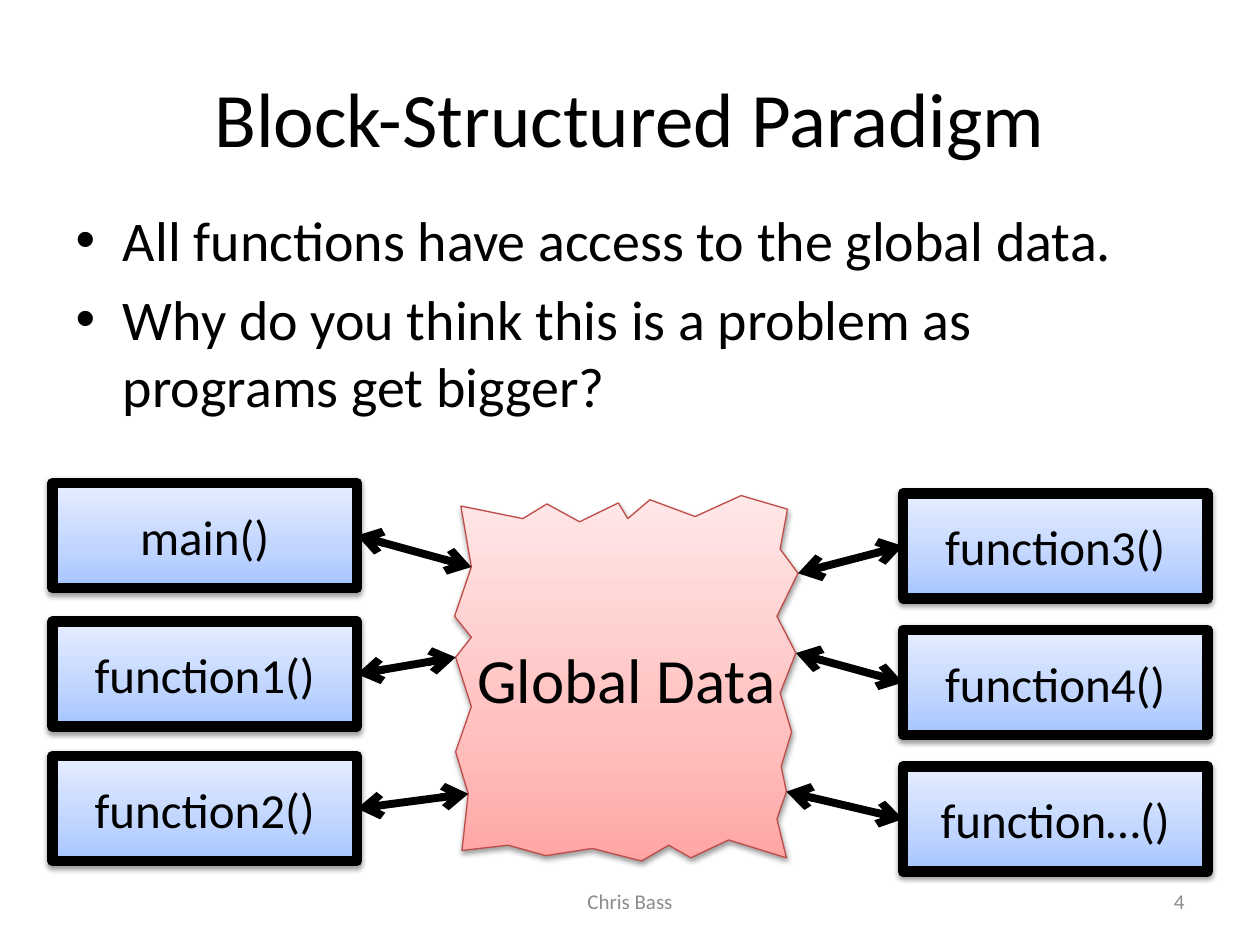
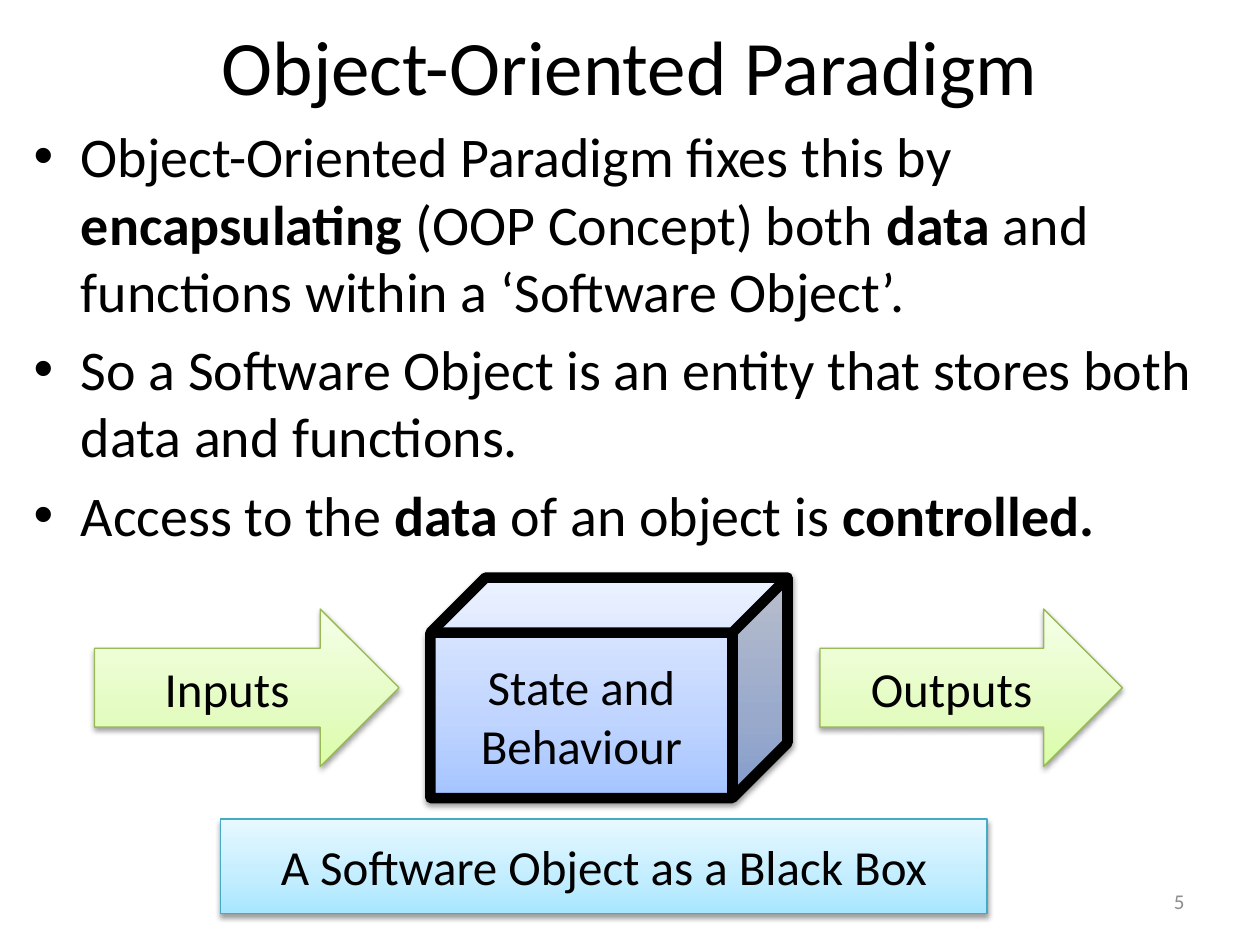
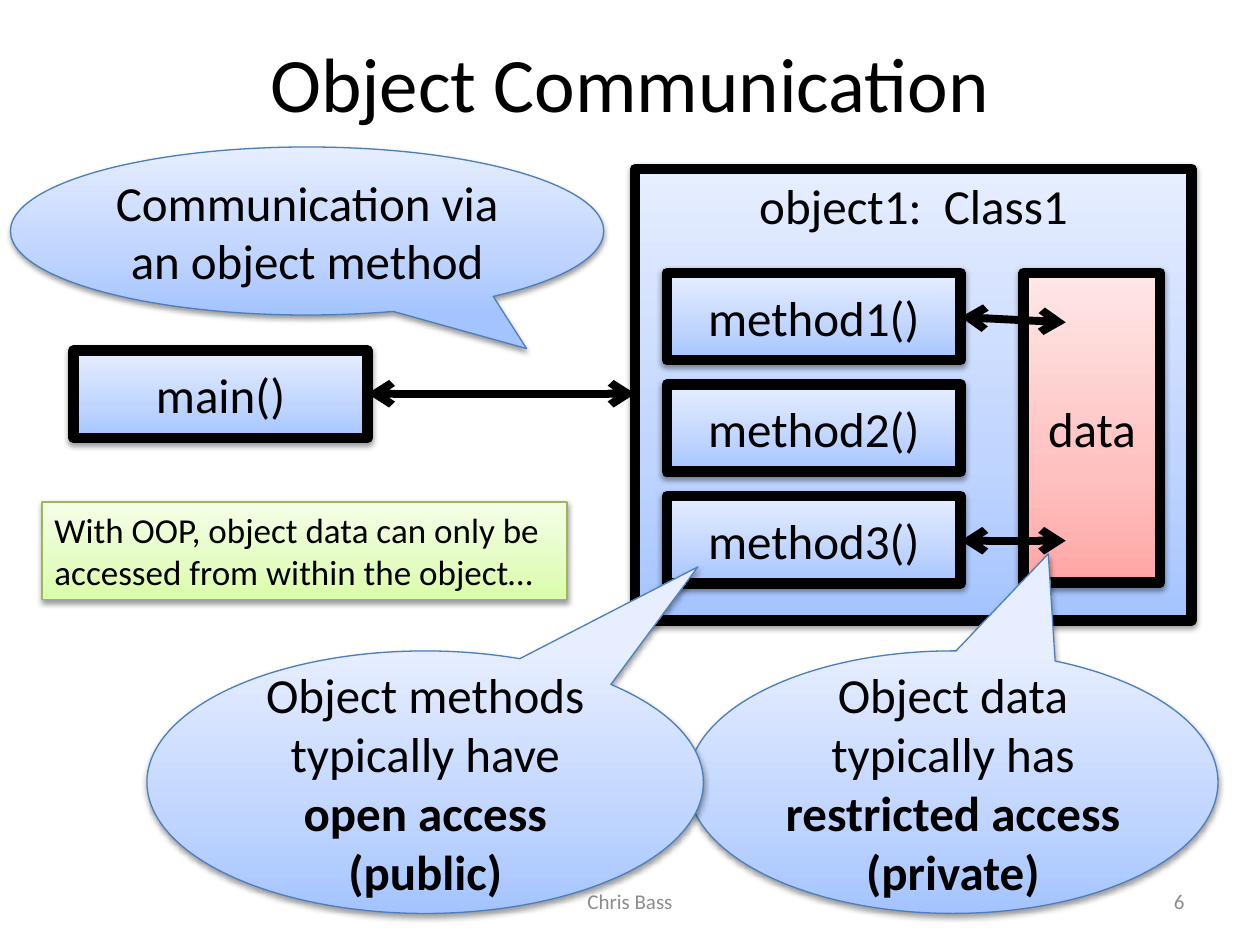
"""Builds three slides on programming paradigms."""
from pptx import Presentation
from pptx import util as u
from pptx.dml.color import RGBColor
from pptx.enum import shapes, text
from pptx.oxml import parse_xml
from pptx.oxml.ns import nsdecls, qn

COLS, ROWS = 120, 90
FONT = "Calibri"
COLORS = {"text": "000000", "footer": "8C8C8C", "heavy": "000000",
          "blue": "4B7EBC", "red": "BF4C48", "green": "98B955", "cyan": "46AAC5"}
GRADIENTS = {"blue": ("A4C4FF", "BFD4FF", "E6EEFF"),
             "red": ("FFA6A5", "FFC0BF", "FFE7E7"),
             "green": ("DAFDA7", "E4FCC2", "F5FFE7"),
             "cyan": ("A7E6FF", "C1EDFF", "E7F8FF")}
STOPS = (0, 35, 100)
KINDS = shapes.MSO_SHAPE
ALIGN = text.PP_ALIGN
ANCHOR = text.MSO_ANCHOR


class Deck:
    """Holds the shared style and the current slide."""

    def __init__(self):
        """Start a 4:3 presentation with a grid of 120 by 90 cells."""
        self.prs = Presentation()
        self.prs.slide_width, self.prs.slide_height = u.Inches(10), u.Inches(7.5)
        self.cell_w = self.prs.slide_width / COLS
        self.cell_h = self.prs.slide_height / ROWS

    def grid(self, *cells):
        """Turn alternating columns and rows into lengths."""
        return [u.Emu(round(c * (self.cell_h if i % 2 else self.cell_w)))
                for i, c in enumerate(cells)]

    def place(self, sp, at):
        """Move a placeholder to a grid cell."""
        sp.left, sp.top, sp.width, sp.height = self.grid(*at)

    def put_text(self, tf, paragraphs, size, color="text", align=None):
        """Fill a text frame; asterisks enclose bold words."""
        tf.word_wrap = True
        for i, line in enumerate(paragraphs):
            p = tf.add_paragraph() if i else tf.paragraphs[0]
            p.font.name, p.font.size = FONT, u.Pt(size)
            p.font.color.rgb = RGBColor.from_string(COLORS[color])
            if align is not None:
                p.alignment = align
            for k, part in enumerate(line.split("*")):
                if part:
                    r = p.add_run()
                    r.text = part
                    if k % 2:
                        r.font.bold = True

    def slide(self, title, at, number, bullets=(), body_at=None):
        """Add a slide with title, optional list and footer."""
        layout = self.prs.slide_layouts[1 if bullets else 5]
        self.current = self.prs.slides.add_slide(layout)
        head = self.current.shapes.title
        self.place(head, at)
        self.put_text(head.text_frame, [title], 44, align=ALIGN.CENTER)
        if bullets:
            body = self.current.placeholders[1]
            self.place(body, body_at)
            self.put_text(body.text_frame, bullets, 32)
        self.label("Chris Bass", (41, 83.4, 38, 4.8), ALIGN.CENTER)
        self.label(str(number), (86, 83.4, 28, 4.8), ALIGN.RIGHT)

    def label(self, words, at, align):
        """Add a small grey footer text."""
        tf = self.current.shapes.add_textbox(*self.grid(*at)).text_frame
        tf.vertical_anchor = ANCHOR.MIDDLE
        self.put_text(tf, [words], 12, "footer", align)

    def finish(self, sp, words, fill, heavy=False, size=28,
               align=ALIGN.CENTER, anchor=ANCHOR.MIDDLE):
        """Give a shape its gradient, line, shadow and text."""
        sp.fill.gradient()
        sp.fill.gradient_angle = 90
        props = sp._element.spPr
        stops = props.find(".//" + qn("a:gsLst"))
        for stop in list(stops):
            stops.remove(stop)
        for pos, color in zip(STOPS, GRADIENTS[fill]):
            stops.append(parse_xml(
                f'<a:gs {nsdecls("a")} pos="{pos * 1000}">'
                f'<a:srgbClr val="{color}"/></a:gs>'))
        sp.line.color.rgb = RGBColor.from_string(COLORS["heavy" if heavy else fill])
        sp.line.width = u.Pt(6 if heavy else 0.75)
        sp.shadow.inherit = False
        props.find(qn("a:effectLst")).append(parse_xml(
            f'<a:outerShdw {nsdecls("a")} blurRad="40000" dist="20000" '
            'dir="5400000" rotWithShape="0"><a:srgbClr val="000000">'
            '<a:alpha val="38000"/></a:srgbClr></a:outerShdw>'))
        sp.text_frame.vertical_anchor = anchor
        self.put_text(sp.text_frame, [words], size, align=align)
        return sp

    def shape(self, kind, words, at, fill="blue", **style):
        """Add a styled preset shape."""
        sp = self.current.shapes.add_shape(kind, *self.grid(*at))
        return self.finish(sp, words, fill, **style)

    def block(self, words, at, fill="blue", **style):
        """Add a rectangle with a heavy black border."""
        return self.shape(KINDS.RECTANGLE, words, at, fill, heavy=True, **style)

    def callout(self, words, at, tip):
        """Add an oval callout whose tip is a share of its size."""
        sp = self.shape(KINDS.OVAL_CALLOUT, words, at)
        sp.adjustments[0], sp.adjustments[1] = tip

    def outline(self, words, points, fill):
        """Add a closed outline given in tenths of a cell."""
        builder = self.current.shapes.build_freeform(
            *points[0], scale=(self.cell_w / 10, self.cell_h / 10))
        builder.add_line_segments(points[1:], close=True)
        self.finish(builder.convert_to_shape(), words, fill, size=36)

    def link(self, start, end):
        """Add a thick line with arrowheads at both ends."""
        line = self.current.shapes.add_connector(
            shapes.MSO_CONNECTOR.STRAIGHT, *self.grid(*start, *end))
        line.line.color.rgb = RGBColor.from_string(COLORS["heavy"])
        line.line.width = u.Pt(4.5)
        props = line._element.spPr
        for end_name in ("headEnd", "tailEnd"):
            props.find(qn("a:ln")).append(
                parse_xml(f'<a:{end_name} {nsdecls("a")} type="arrow"/>'))
        props.append(parse_xml(f'<a:effectLst {nsdecls("a")}/>'))


def block_structured(deck):
    """Functions on both sides share global data."""
    deck.slide("Block-Structured Paradigm", (6, 3.6, 108, 15), 4,
               ["All functions have access to the global data.",
                "Why do you think this is a problem as programs get bigger?"],
               (6, 19, 108, 65))
    torn_edge = [
        (439, 482), (449, 540), (433, 587), (449, 607), (434, 626), (449, 673),
        (434, 716), (446, 756), (440, 810), (484, 805), (520, 815), (564, 808),
        (611, 820), (637, 805), (658, 817), (694, 800), (749, 817), (740, 780),
        (749, 754), (744, 730), (754, 697), (743, 660), (758, 622), (740, 587),
        (760, 546), (743, 523), (750, 485), (706, 472), (662, 492), (619, 476),
        (598, 494), (589, 479), (552, 497), (521, 480), (498, 494)]
    deck.outline("Global Data", torn_edge, "red")
    # Each function: name, column, row, and the edge point it reaches.
    functions = [("main()", 5, 46, 1), ("function1()", 5, 59.2, 4),
                 ("function2()", 5, 72, 7), ("function3()", 86, 47, 24),
                 ("function4()", 86, 60, 22), ("function…()", 86, 73, 18)]
    width, height = 29, 10
    for name, col, row, _ in functions:
        deck.block(name, (col, row, width, height))
    for _, col, row, corner in functions:
        side = col + width if col < COLS / 2 else col
        x, y = torn_edge[corner]
        deck.link((side, row + height / 2), (x / 10, y / 10))


def object_oriented(deck):
    """A software object as a box with inputs and outputs."""
    deck.slide("Object-Oriented Paradigm", (6, 0, 108, 12.4), 5,
               ["Object-Oriented Paradigm fixes this by *encapsulating* (OOP Concept) "
                "both *data* and functions within a ‘Software Object’.",
                "So a Software Object is an entity that stores both data and functions.",
                "Access to the *data* of an object is *controlled.*"],
               (2, 11, 116, 74))
    deck.shape(KINDS.CUBE, "State and Behaviour", (41, 55, 34, 21), heavy=True)
    for words, col, width in (("Inputs", 9, 29), ("Outputs", 78.1, 28.8)):
        deck.shape(KINDS.RIGHT_ARROW, words, (col, 58, width, 15), "green")
    deck.shape(KINDS.RECTANGLE, "A Software Object as a Black Box",
               (21, 78, 73, 9), "cyan")


def object_communication(deck):
    """A caller reaches an object's data through its methods."""
    deck.slide("Object Communication", (6, 1.6, 108, 12.4), 6)
    width, height = 28, 8.3
    deck.block("main()", (7, 33.4, width, height))
    deck.block("object1:  Class1", (60.5, 16.1, 53, 43), anchor=ANCHOR.TOP)
    for i in range(3):
        deck.block(f"method{i + 1}()", (63.5, 26 + 10.63 * i, width, height))
    deck.block("data", (97.5, 26, 13, 29.5), "red")
    deck.link((101.5, 30.7), (91.5, 30.2))
    deck.link((101.5, 51.5), (91.5, 51.5))
    deck.link((35, 37.5), (60.5, 37.5))
    deck.callout("Communication via an object method", (1, 14, 56.5, 16), (0.37, 0.7))
    deck.callout("Object data typically has *restricted access (private)*",
                 (65.5, 62, 50.5, 25), (0.18, -0.87))
    deck.callout("Object methods typically have *open access (public)*",
                 (14, 62, 53, 25), (0.49, -0.82))
    note = deck.shape(
        KINDS.RECTANGLE,
        "With OOP, object data can only be accessed from within the object…",
        (4, 47.8, 50, 9.3), "green", size=20, align=ALIGN.LEFT, anchor=ANCHOR.TOP)
    note.text_frame.auto_size = text.MSO_AUTO_SIZE.SHAPE_TO_FIT_TEXT


deck = Deck()
block_structured(deck)
object_oriented(deck)
object_communication(deck)
deck.prs.save("out.pptx")
